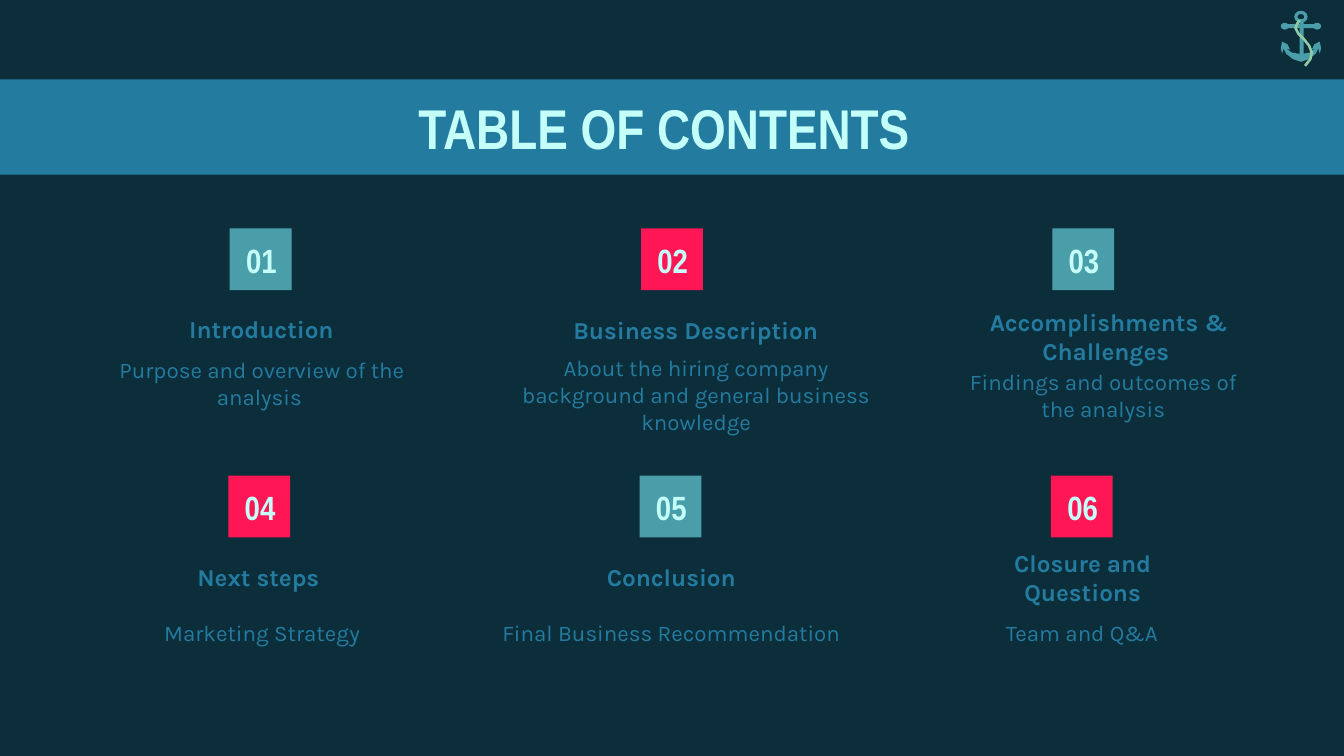
from pptx import Presentation
from pptx.dml.color import RGBColor
from pptx.enum import shapes as sh, text as tx
from pptx.util import Inches, Pt

NAVY, BLUE, TEAL, RED = "0C2E3A", "247BA0", "4A9EAA", "FF1654"
MINT, ROPE = "C4FFF9", "90CBA3"
KIND = sh.MSO_SHAPE


def color(code):
    return RGBColor.from_string(code)


def paint(shape, code):
    shape.shadow.inherit = False
    shape.fill.solid()
    shape.fill.fore_color.rgb = color(code)
    shape.line.fill.background()
    return shape


def block(slide, kind, x, y, w, h, code):
    box = [Inches(v) for v in (x, y, w, h)]
    return paint(slide.shapes.add_shape(kind, *box), code)


def write(slide, words, x, y, w, h, size=12, font="Karla", code=BLUE, bold=False):
    box = slide.shapes.add_textbox(*[Inches(v) for v in (x, y, w, h)])
    frame = box.text_frame
    frame.word_wrap = True
    frame.vertical_anchor = tx.MSO_ANCHOR.MIDDLE
    frame.margin_left = frame.margin_right = Inches(0.1)
    frame.margin_top = frame.margin_bottom = Inches(0.1)
    para = frame.paragraphs[0]
    para.alignment = tx.PP_ALIGN.CENTER
    run = para.add_run()
    run.text = words
    run.font.size, run.font.name, run.font.bold = Pt(size), font, bold
    run.font.color.rgb = color(code)


def outline(slide, x, y, points, close):
    """Points are in hundredths of an inch from (x, y)."""
    pen = slide.shapes.build_freeform(*points[0], scale=Inches(0.01))
    pen.add_line_segments(points[1:], close=close)
    return pen.convert_to_shape(Inches(x), Inches(y))


def banner(slide, x, y, w, h):
    block(slide, KIND.RECTANGLE, x, y, w, h, BLUE)
    write(slide, "TABLE OF CONTENTS ", x + 0.72, y, 8.54, h,
          size=30, font="Arial Narrow", code=MINT, bold=True)


def entry(slide, x, y, num, code, head, place, body, area):
    """Numbered square with heading and description offset from its corner."""
    block(slide, KIND.RECTANGLE, x, y, 0.46, 0.46, code)
    write(slide, f"{num:02}", x - 0.18, y + 0.07, 0.83, 0.33,
          size=18, font="Arial Narrow", code=MINT, bold=True)
    dx, dy, w = place
    write(slide, head, x + dx, y + dy, w, 0.41, size=13, bold=True)
    dx, dy, w, h = area
    write(slide, body, x + dx, y + dy, w, h)


def anchor(slide, x, y):
    # Ring, shank, crossbar and its round ends
    ring = block(slide, KIND.DONUT, x + 0.12, y, 0.1, 0.09, TEAL)
    ring.adjustments[0] = 0.27
    block(slide, KIND.RECTANGLE, x + 0.16, y + 0.06, 0.03, 0.27, TEAL)
    block(slide, KIND.RECTANGLE, x + 0.05, y + 0.1, 0.24, 0.03, TEAL)
    for dx in (0.02, 0.26):
        block(slide, KIND.OVAL, x + dx, y + 0.09, 0.06, 0.05, TEAL)
    # Hook, mirrored about the shank
    half = [(17, 38), (11, 36), (6, 32), (4, 28), (3, 32), (2, 28), (3, 23),
            (7, 25), (9, 29), (6, 28), (10, 31), (15, 32)]
    hook = half + [(34 - a, b) for a, b in half[:0:-1]]
    paint(outline(slide, x, y, hook, True), TEAL)
    # Rope
    rope = outline(slide, x, y, [(16, 7), (14, 10), (13, 13), (15, 17), (19, 21),
                                 (23, 26), (25, 31), (24, 36), (20, 41)], False)
    rope.shadow.inherit = False
    rope.fill.background()
    rope.line.color.rgb = color(ROPE)
    rope.line.width = Pt(1.4)


ITEMS = [
    ("Introduction", (-0.58, 0.54, 1.63),
     "Purpose and overview of the analysis ", (-0.98, 0.88, 2.44, 0.54)),
    ("Business Description", (-0.78, 0.55, 2.37),
     "About the hiring company background and general business knowledge",
     (-1.09, 0.88, 3, 0.71)),
    ("Accomplishments & Challenges ", (-1, 0.6, 2.84),
     "Findings and outcomes of the analysis", (-0.84, 0.97, 2.44, 0.54)),
    ("Next steps ", (-0.57, 0.55, 1.63),
     "Marketing Strategy", (-0.97, 0.9, 2.44, 0.54)),
    ("Conclusion", (-0.58, 0.55, 1.63),
     "Final Business Recommendation", (-1.24, 0.9, 2.95, 0.54)),
    ("Closure and Questions", (-0.58, 0.55, 1.63),
     "Team and Q&A", (-0.99, 0.9, 2.44, 0.54)),
]


def main():
    deck = Presentation()
    # Widescreen page, 16 to 9
    deck.slide_width = Inches(10)
    deck.slide_height = deck.slide_width * 9 // 16
    slide = deck.slides.add_slide(deck.slide_layouts[6])
    slide.background.fill.solid()
    slide.background.fill.fore_color.rgb = color(NAVY)

    banner(slide, 0, 0.59, 10, 0.71)
    # Three columns, two rows, alternating colours
    for i, item in enumerate(ITEMS):
        row, col = divmod(i, 3)
        entry(slide, 1.71 - 0.01 * row + 3.06 * col, 1.7 + 1.84 * row,
              i + 1, (TEAL, RED)[i % 2], *item)
    anchor(slide, 9.51, 0.08)
    deck.save("out.pptx")


if __name__ == "__main__":
    main()
